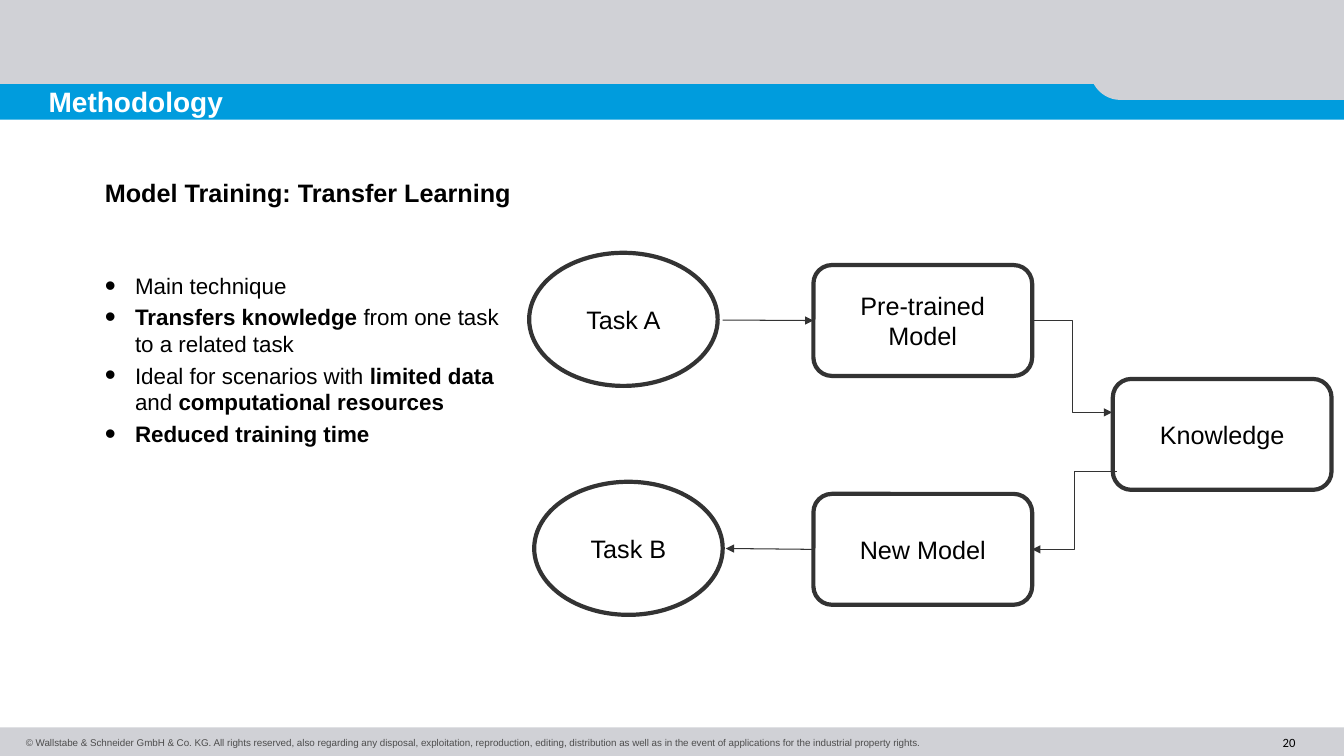
from lxml import etree
from pptx import Presentation
from pptx.dml.color import RGBColor
from pptx.enum.shapes import MSO_CONNECTOR as LINK, MSO_SHAPE as SHAPE
from pptx.enum.text import MSO_ANCHOR as ANCHOR, PP_ALIGN as ALIGN
from pptx.oxml.ns import qn
from pptx.util import Inches, Pt

COLS, ROWS = 160, 90
GREY, BLUE, DARK = "D0D1D6", "009CDD", "333333"
BLACK, WHITE, FOOTER = "000000", "FFFFFF", "4D4D4D"
NODE_W, NODE_H = 26.04, 13.2
OVAL_W, OVAL_H = 22.44, 15.84


def rgb(value):
    return RGBColor.from_string(value)


def apply(target, values):
    for name, value in values.items():
        setattr(target, name, value)


class Deck:
    """Style and current slide; lengths are columns and rows of a square grid."""

    def __init__(self, prs):
        self.unit = prs.slide_width / COLS
        self.shapes = prs.slides.add_slide(prs.slide_layouts[6]).shapes

    def grid(self, *cells):
        return [round(c * self.unit) for c in cells]

    def add_runs(self, p, runs, size=18, color=BLACK, font="Arial"):
        """Add (text, bold) runs to a paragraph."""
        for text, bold in runs:
            r = p.add_run()
            r.text = text
            apply(r.font, dict(size=Pt(size), bold=bold, name=font))
            r.font.color.rgb = rgb(color)

    def band(self, kind, box, color):
        s = self.shapes.add_shape(kind, *self.grid(*box))
        s.shadow.inherit = False
        s.fill.solid()
        s.fill.fore_color.rgb = rgb(color)
        s.line.fill.background()
        return s

    def node(self, kind, box, label):
        """Outlined shape with a centred label."""
        s = self.shapes.add_shape(kind, *self.grid(*box))
        s.shadow.inherit = False
        s.fill.background()
        s.line.color.rgb = rgb(DARK)
        s.line.width = Pt(3)
        inset = Inches(0.15)
        apply(s.text_frame, dict(word_wrap=True, vertical_anchor=ANCHOR.MIDDLE,
                                 margin_left=inset, margin_right=inset))
        p = s.text_frame.paragraphs[0]
        p.alignment = ALIGN.CENTER
        self.add_runs(p, [(label, False)])
        return s

    def text(self, box, runs, anchor=ANCHOR.MIDDLE, align=ALIGN.LEFT, **style):
        tf = self.shapes.add_textbox(*self.grid(*box)).text_frame
        apply(tf, dict(word_wrap=True, vertical_anchor=anchor))
        tf.paragraphs[0].alignment = align
        self.add_runs(tf.paragraphs[0], runs, **style)

    def bullets(self, box, items, size):
        tf = self.shapes.add_textbox(*self.grid(*box)).text_frame
        tf.word_wrap = True
        for i, runs in enumerate(items):
            p = tf.add_paragraph() if i else tf.paragraphs[0]
            pPr = p._p.get_or_add_pPr()
            pPr.set("marL", str(Inches(0.3)))
            pPr.set("indent", str(-Inches(0.3)))
            for tag, name, value in [("a:buSzPct", "val", "140000"),
                                     ("a:buFont", "typeface", "Arial"),
                                     ("a:buChar", "char", "•")]:
                etree.SubElement(pPr, qn(tag)).set(name, value)
            if i:
                p.space_before = Pt(size * 0.2)
            self.add_runs(p, runs, size)

    def arrow(self, kind, start, end, source=None, target=None):
        """Arrow between grid points; source and target are (shape, side) pairs."""
        c = self.shapes.add_connector(kind, *self.grid(*start, *end))
        if source:
            c.begin_connect(*source)
        if target:
            c.end_connect(*target)
        c.line.color.rgb = rgb(DARK)
        c.line.width = Pt(0.75)
        etree.SubElement(c.get_or_add_ln(), qn("a:tailEnd")).set("type", "triangle")
        etree.SubElement(c._element.spPr, qn("a:effectLst"))


def main():
    prs = Presentation()
    prs.slide_width, prs.slide_height = Inches(40 / 3), Inches(7.5)
    deck = Deck(prs)

    for box, color in [((0, 86.6, COLS, ROWS - 86.6), GREY),
                       ((0, 8.9, COLS, 5.35), BLUE),
                       ((130.4, 1.9, 29.6, 10), GREY),
                       ((0, 0, COLS, 10), GREY),
                       ((115.9, 10, 26.4, 4), BLUE)]:
        deck.band(SHAPE.RECTANGLE, box, color)
    corner = deck.band(SHAPE.ROUNDED_RECTANGLE, (129.8, 1.3, 28.3, 10.6), GREY)
    corner.adjustments[0] = 0.34

    deck.text((1.9, 86.7, 112, 3.3), [(
        "© Wallstabe & Schneider GmbH & Co. KG. All rights reserved, also regarding any "
        "disposal, exploitation, reproduction, editing, distribution as well as in the "
        "event of applications for the industrial property rights.", False)],
        size=7, color=FOOTER)
    deck.text((145.6, 86.7, 9.8, 3.3), [("20", False)], align=ALIGN.RIGHT,
              size=9, font="Calibri")
    deck.text((4.6, 7.8, 87.2, 8.5), [("Methodology", True)], size=20, color=WHITE)
    deck.text((11.3, 20.5, 104, 7.6), [("Model Training: Transfer Learning", True)],
              anchor=ANCHOR.TOP)
    deck.bullets((11.3, 31.8, 49.4, 22), [
        [("Main technique", False)],
        [("Transfers knowledge ", True), ("from one task to a related task", False)],
        [("Ideal for scenarios with ", False), ("limited data ", True),
         ("and ", False), ("computational resources", True)],
        [("Reduced training time", True)]], size=16)

    deck.node(SHAPE.OVAL, (63, 30.1, OVAL_W, OVAL_H), "Task A")
    deck.node(SHAPE.OVAL, (63.6, 57.36, OVAL_W, OVAL_H), "Task B")
    pretrained, new_model, _ = [
        deck.node(SHAPE.ROUNDED_RECTANGLE, (x, y, NODE_W, NODE_H), label)
        for x, y, label in [(96.84, 31.56, "Pre-trained Model"),
                            (96.84, 58.8, "New Model"),
                            (132.48, 45.12, "Knowledge")]]

    deck.arrow(LINK.STRAIGHT, (86.04, 38.1), (96.84, 38.16), target=(pretrained, 1))
    deck.arrow(LINK.STRAIGHT, (96.84, 65.4), (86.4, 65.3), source=(new_model, 1))
    deck.arrow(LINK.ELBOW, (122.88, 38.16), (132.4, 49.1), source=(pretrained, 3))
    deck.arrow(LINK.ELBOW, (132.96, 56.1), (122.88, 65.4), target=(new_model, 3))

    prs.save("out.pptx")


if __name__ == "__main__":
    main()
